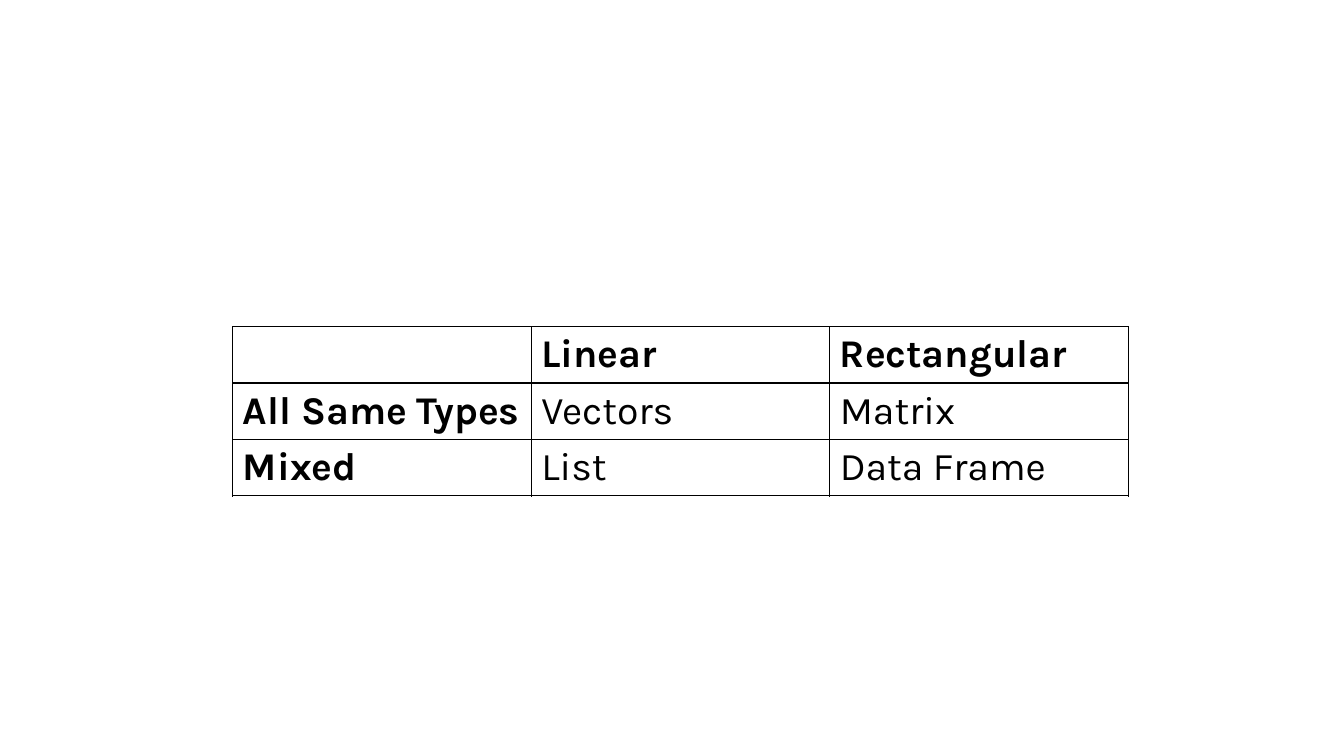
"""Build a slide with a table of data structures by shape and type."""
from lxml import etree
from pptx import Presentation
from pptx import util as u
from pptx.dml.color import RGBColor
from pptx.enum import text
from pptx.oxml import ns

BLACK = RGBColor(0x00, 0x00, 0x00)
FONT = "Karla"
COLUMN_WIDTH = u.Inches(2.96)
ROW_HEIGHT = u.Inches(0.56)
ROWS = [
    ["", "Linear", "Rectangular"],
    ["All Same Types", "Vectors", "Matrix"],
    ["Mixed", "List", "Data Frame"],
]


def add_borders(cell, color, width):
    properties = cell._tc.get_or_add_tcPr()
    for index, side in enumerate(("lnL", "lnR", "lnT", "lnB")):
        line = etree.Element(ns.qn(f"a:{side}"), w=str(width))
        fill = etree.SubElement(line, ns.qn("a:solidFill"))
        etree.SubElement(fill, ns.qn("a:srgbClr"), val=str(color))
        properties.insert(index, line)


presentation = Presentation()
presentation.slide_width = u.Inches(13.33)
presentation.slide_height = u.Inches(7.5)
slide = presentation.slides.add_slide(presentation.slide_layouts[6])

table = slide.shapes.add_table(
    len(ROWS), len(ROWS[0]), u.Inches(2.31), u.Inches(3.24),
    COLUMN_WIDTH * len(ROWS[0]), ROW_HEIGHT * len(ROWS),
).table
table.first_row = False
table.horz_banding = False
for column in table.columns:
    column.width = COLUMN_WIDTH

for row_index, labels in enumerate(ROWS):
    table.rows[row_index].height = ROW_HEIGHT
    for column_index, label in enumerate(labels):
        cell = table.cell(row_index, column_index)
        cell.fill.background()
        add_borders(cell, BLACK, u.Pt(1))
        if not label:
            continue
        paragraph = cell.text_frame.paragraphs[0]
        paragraph.text = label
        paragraph.alignment = text.PP_ALIGN.LEFT
        font = paragraph.runs[0].font
        font.name = FONT
        font.size = u.Pt(28)
        font.bold = row_index == 0 or column_index == 0
        font.color.rgb = BLACK

presentation.save("out.pptx")
